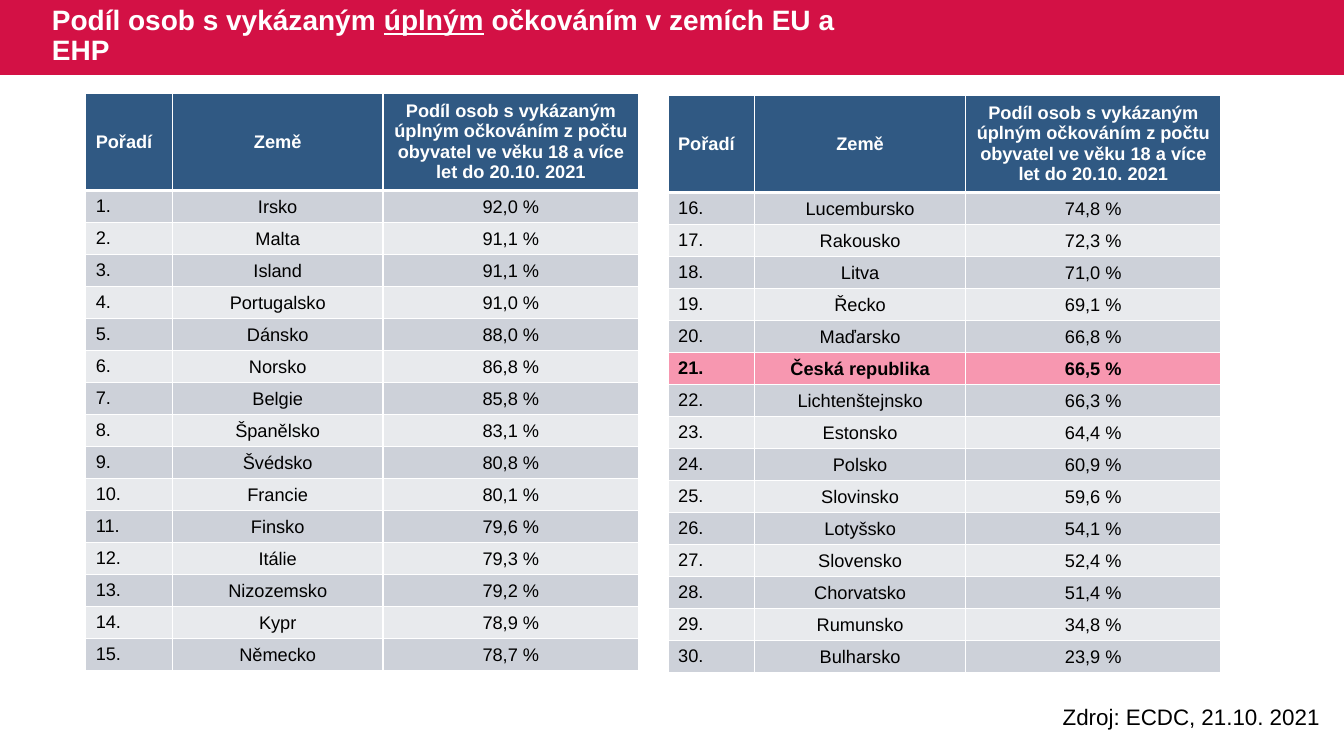
import pptx
import pptx.util
import pptx.dml.color
import pptx.enum.shapes
import pptx.enum.text
import pptx.oxml
import pptx.oxml.ns

Pt = pptx.util.Pt
ALIGN = pptx.enum.text.PP_ALIGN
MIDDLE = pptx.enum.text.MSO_ANCHOR.MIDDLE

COLORS = {
    "red": "D31145", "blue": "305983", "dark": "CDD1D9",
    "light": "E8EAED", "pink": "F797B0", "white": "FFFFFF", "black": "000000",
}
HEADS = [
    "Pořadí",
    "Země",
    "Podíl osob s vykázaným úplným očkováním z počtu obyvatel "
    "ve věku 18 a více let do 20.10. 2021",
]
LEFT = [
    ("Irsko", "92,0"), ("Malta", "91,1"), ("Island", "91,1"),
    ("Portugalsko", "91,0"), ("Dánsko", "88,0"), ("Norsko", "86,8"),
    ("Belgie", "85,8"), ("Španělsko", "83,1"), ("Švédsko", "80,8"),
    ("Francie", "80,1"), ("Finsko", "79,6"), ("Itálie", "79,3"),
    ("Nizozemsko", "79,2"), ("Kypr", "78,9"), ("Německo", "78,7"),
]
RIGHT = [
    ("Lucembursko", "74,8"), ("Rakousko", "72,3"), ("Litva", "71,0"),
    ("Řecko", "69,1"), ("Maďarsko", "66,8"), ("Česká republika", "66,5"),
    ("Lichtenštejnsko", "66,3"), ("Estonsko", "64,4"), ("Polsko", "60,9"),
    ("Slovinsko", "59,6"), ("Lotyšsko", "54,1"), ("Slovensko", "52,4"),
    ("Chorvatsko", "51,4"), ("Rumunsko", "34,8"), ("Bulharsko", "23,9"),
]
HOME = "Česká republika"
WIDTHS = [61.9, 150.5, 182.6]


def color(name):
    return pptx.dml.color.RGBColor.from_string(COLORS[name])


def style(font, tint, **form):
    font.color.rgb = color(tint)
    for key, value in {"name": "Arial", **form}.items():
        setattr(font, key, value)


def paint(shape, tint):
    shape.fill.solid()
    shape.fill.fore_color.rgb = color(tint)


def add_bar(slide, width, height):
    bar = slide.shapes.add_shape(
        pptx.enum.shapes.MSO_SHAPE.RECTANGLE, 0, 0, width, height)
    bar.shadow.inherit = False
    paint(bar, "red")
    bar.line.fill.background()


def add_text(slide, box, parts, tint, size, **form):
    """Each part is a pair of text and underline."""
    frame = slide.shapes.add_textbox(*map(Pt, box)).text_frame
    frame.word_wrap = True
    for text, under in parts:
        run = frame.paragraphs[0].add_run()
        run.text = text
        style(run.font, tint, size=Pt(size), underline=under, **form)
    return frame


def add_edges(cell, top, base):
    props = cell._tc.get_or_add_tcPr()
    sides = {"L": 1, "R": 1, "T": top, "B": base}
    for spot, (side, width) in enumerate(sides.items()):
        props.insert(spot, pptx.oxml.parse_xml(
            f'<a:ln{side} {pptx.oxml.ns.nsdecls("a")} w="{Pt(width)}">'
            f'<a:solidFill><a:srgbClr val="{COLORS["white"]}"/></a:solidFill>'
            f'</a:ln{side}>'))


def fill_cell(cell, text, back, tint, bold, center, tight):
    form = {"text": text, "vertical_anchor": MIDDLE}
    if tight:
        form.update(margin_left=Pt(0.7), margin_right=Pt(0.7),
                    margin_top=Pt(0.7), margin_bottom=0)
    for key, value in form.items():
        setattr(cell, key, value)
    paint(cell, back)
    para = cell.text_frame.paragraphs[0]
    para.alignment = ALIGN.CENTER if center else ALIGN.LEFT
    style(para.runs[0].font, tint, size=Pt(13), bold=bold)


def add_ranks(slide, left, top, first, lands):
    rows = [HEADS] + [(f"{rank}.", land, f"{share} %")
                      for rank, (land, share) in enumerate(lands, first)]
    table = slide.shapes.add_table(
        len(rows), len(HEADS), Pt(left), Pt(top),
        Pt(sum(WIDTHS)), Pt(52 + 18 * len(lands))).table
    table.first_row = table.horz_banding = False
    for column, width in zip(table.columns, WIDTHS):
        column.width = Pt(width)
    for r, row in enumerate(rows):
        head, home = r == 0, row[1] == HOME
        table.rows[r].height = Pt(52 if head else 18)
        back = ("blue" if head else "pink" if home
                else "dark" if r % 2 else "light")
        for c, text in enumerate(row):
            cell = table.cell(r, c)
            fill_cell(cell, text, back, "white" if head else "black",
                      head or home, c > 0, c > 0 and not head)
            add_edges(cell, 3 if r == 1 else 1, 3 if head else 1)


def main():
    deck = pptx.Presentation()
    deck.slide_width, deck.slide_height = Pt(960), Pt(540)
    slide = deck.slides.add_slide(deck.slide_layouts[6])

    # Title band
    add_bar(slide, deck.slide_width, Pt(53.5))
    title = add_text(
        slide, (30, 0, 587.5, 52.5),
        [("Podíl osob s vykázaným ", False), ("úplným", True),
         (" očkováním v zemích EU a EHP", False)],
        "white", 20, bold=True)
    title.vertical_anchor = MIDDLE
    title.paragraphs[0].line_spacing = 0.9

    # Rankings
    add_ranks(slide, 61.2, 66.4, 1, LEFT)
    add_ranks(slide, 477.2, 67.8, 16, RIGHT)

    # Source
    add_text(slide, (752, 499, 225.4, 26.6),
             [("Zdroj: ECDC, 21.10. 2021", False)], "black", 16)

    deck.save("out.pptx")


if __name__ == "__main__":
    main()
